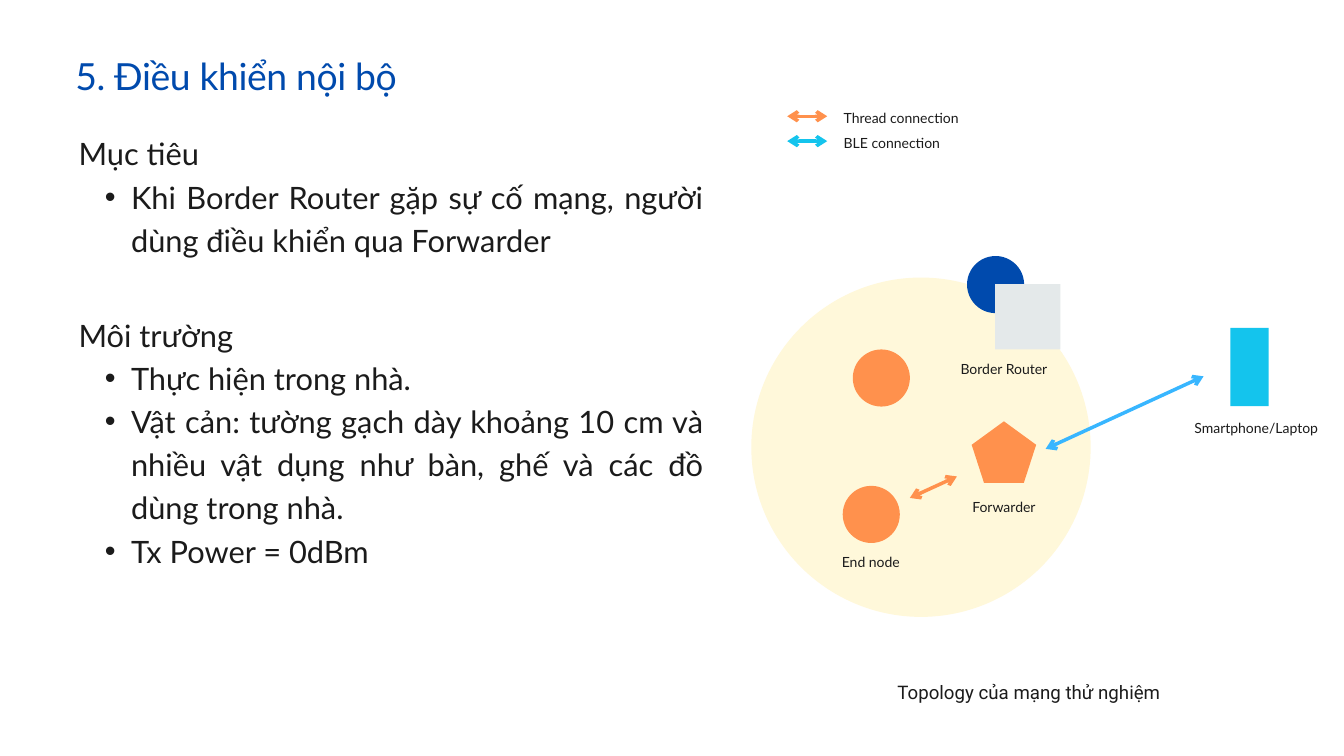
from lxml.etree import SubElement
from pptx import Presentation
from pptx.dml.color import RGBColor
from pptx.enum.shapes import MSO_CONNECTOR, MSO_SHAPE as Preset
from pptx.enum.text import MSO_ANCHOR, MSO_AUTO_SIZE, PP_ALIGN as Align
from pptx.oxml.ns import qn
from pptx.util import Inches, Pt

NAVY = RGBColor(0x00, 0x4A, 0xAD)
INK = RGBColor(0x1B, 0x1B, 0x1B)
CREAM = RGBColor(0xFF, 0xF8, 0xDA)
GREY = RGBColor(0xE4, 0xE9, 0xEA)
ORANGE = RGBColor(0xFF, 0x91, 0x4D)
CYAN = RGBColor(0x14, 0xC4, 0xED)
SKY = RGBColor(0x38, 0xB6, 0xFF)

COLUMNS, ROWS = 80, 45
CELL = 0.25  # inches, for columns and rows alike
NODE = 3.4
LABEL_WIDTH, LABEL_HEIGHT = 7.84, 1.16
LEGEND_TOP, LEGEND_STEP = 6.36, 1.48

GOAL = ["Mục tiêu",
        "Khi Border Router gặp sự cố mạng, người dùng điều khiển qua Forwarder"]
ENVIRONMENT = ["Môi trường",
               "Thực hiện trong nhà.",
               "Vật cản: tường gạch dày khoảng 10 cm và nhiều vật dụng như bàn, "
               "ghế và các đồ dùng trong nhà.",
               "Tx Power = 0dBm"]


def cells(*counts):
    return [Inches(count * CELL) for count in counts]


def prepare_frame(holder):
    frame = holder.text_frame
    frame.margin_left = frame.margin_top = frame.margin_right = frame.margin_bottom = 0
    frame.word_wrap = True
    frame.auto_size = MSO_AUTO_SIZE.NONE
    frame.vertical_anchor = MSO_ANCHOR.TOP
    return frame


def place(holder, left, top, width, height):
    holder.left, holder.top, holder.width, holder.height = cells(left, top, width, height)


def write(paragraph, words, size, color=INK, font="Lato", align=Align.LEFT):
    """Fill a paragraph with one run; line spacing is 1.4 times the size unless changed later."""
    paragraph.alignment = align
    paragraph.line_spacing = Pt(size * 1.4)
    paragraph.space_before = Pt(0)
    run = paragraph.add_run()
    run.text = words
    run.font.name, run.font.size = font, Pt(size)
    run.font.color.rgb = color
    return run


def set_bullet(paragraph, bulleted):
    properties = paragraph._p.get_or_add_pPr()
    indent = Inches(0.39) if bulleted else 0
    properties.set("marL", str(2 * indent))
    properties.set("indent", str(-indent))
    if bulleted:
        SubElement(properties, qn("a:buFont")).set("typeface", "Arial")
        SubElement(properties, qn("a:buChar")).set("char", "•")
    else:
        SubElement(properties, qn("a:buNone"))


def add_title(slide, words):
    title = slide.shapes.title
    place(title, 4.48, 3.36, 67.2, 2.48)
    heading = prepare_frame(title).paragraphs[0]
    run = write(heading, words, 40, NAVY)
    heading.line_spacing = Pt(44)
    run._r.get_or_add_rPr().set("spc", "-40")


def add_section(holder, lines, top, height):
    """Put a heading and its bullets into a body placeholder."""
    place(holder, 4.68, top, 37.2, height)
    frame = prepare_frame(holder)
    for index, words in enumerate(lines):
        paragraph = frame.add_paragraph() if index else frame.paragraphs[0]
        paragraph.level = min(index, 1)
        set_bullet(paragraph, index > 0)
        write(paragraph, words, 33, align=Align.JUSTIFY)


def add_label(slide, words, left, top, width=LABEL_WIDTH, height=LABEL_HEIGHT,
              size=15, font="Lato", align=Align.CENTER):
    label = slide.shapes.add_textbox(*cells(left, top, width, height))
    write(prepare_frame(label).paragraphs[0], words, size, font=font, align=align)


def add_figure(slide, preset, color, left, top, width, height=None):
    figure = slide.shapes.add_shape(preset, *cells(left, top, width, height or width))
    figure.shadow.inherit = False
    figure.fill.solid()
    figure.fill.fore_color.rgb = color
    figure.line.fill.background()


def add_link(slide, color, *ends):
    """Draw a double-headed arrow between two grid points."""
    link = slide.shapes.add_connector(MSO_CONNECTOR.STRAIGHT, *cells(*ends))
    link.line.color.rgb = color
    link.line.width = Pt(3.75)
    outline = link.line._get_or_add_ln()
    for end in ("a:headEnd", "a:tailEnd"):
        SubElement(outline, qn(end)).set("type", "arrow")
    SubElement(link._element.spPr, qn("a:effectLst"))


def add_legend(slide):
    entries = [("Thread connection", ORANGE), ("BLE connection", CYAN)]
    for index, (words, color) in enumerate(entries):
        top = LEGEND_TOP + index * LEGEND_STEP
        add_link(slide, color, 46.86, top + 0.56, 49.24, top + 0.56)
        add_label(slide, words, 50.22, top, align=Align.LEFT)


def add_topology(slide):
    add_figure(slide, Preset.OVAL, CREAM, 44.72, 16.52, 20.2)
    add_figure(slide, Preset.OVAL, NAVY, 57.56, 15.24, NODE)
    add_figure(slide, Preset.RECTANGLE, GREY, 59.24, 16.92, 3.88)
    for left, top in [(50.76, 20.8), (50.16, 28.92)]:
        add_figure(slide, Preset.OVAL, ORANGE, left, top, NODE)
    add_link(slide, SKY, 62.24, 26.72, 71.64, 22.4)
    add_link(slide, ORANGE, 54.16, 29.64, 56.96, 28.36)
    add_figure(slide, Preset.RECTANGLE, CYAN, 73.24, 19.52, 2.28, 4.66)
    add_figure(slide, Preset.REGULAR_PENTAGON, ORANGE, 57.84, 25.08, 3.84, 3.66)

    add_label(slide, "Border Router", 55.84, 21.32)
    add_label(slide, "Forwarder", 55.84, 29.48)
    add_label(slide, "End node", 47.92, 32.8)
    add_label(slide, "Smartphone/Laptop", 70.44, 24.8, width=8.68)
    add_label(slide, "Topology của mạng thử nghiệm", 48.08, 40.28, 26.32, 1.52,
              size=20, font="Roboto")


def main():
    deck = Presentation()
    deck.slide_width, deck.slide_height = cells(COLUMNS, ROWS)
    two_content = deck.slide_layouts[3]
    slide = deck.slides.add_slide(two_content)
    add_title(slide, "5. Điều khiển nội bộ")
    add_section(slide.placeholders[1], GOAL, 7.68, 7.56)
    add_section(slide.placeholders[2], ENVIRONMENT, 18.48, 15.16)
    add_legend(slide)
    add_topology(slide)
    deck.save("out.pptx")


if __name__ == "__main__":
    main()
